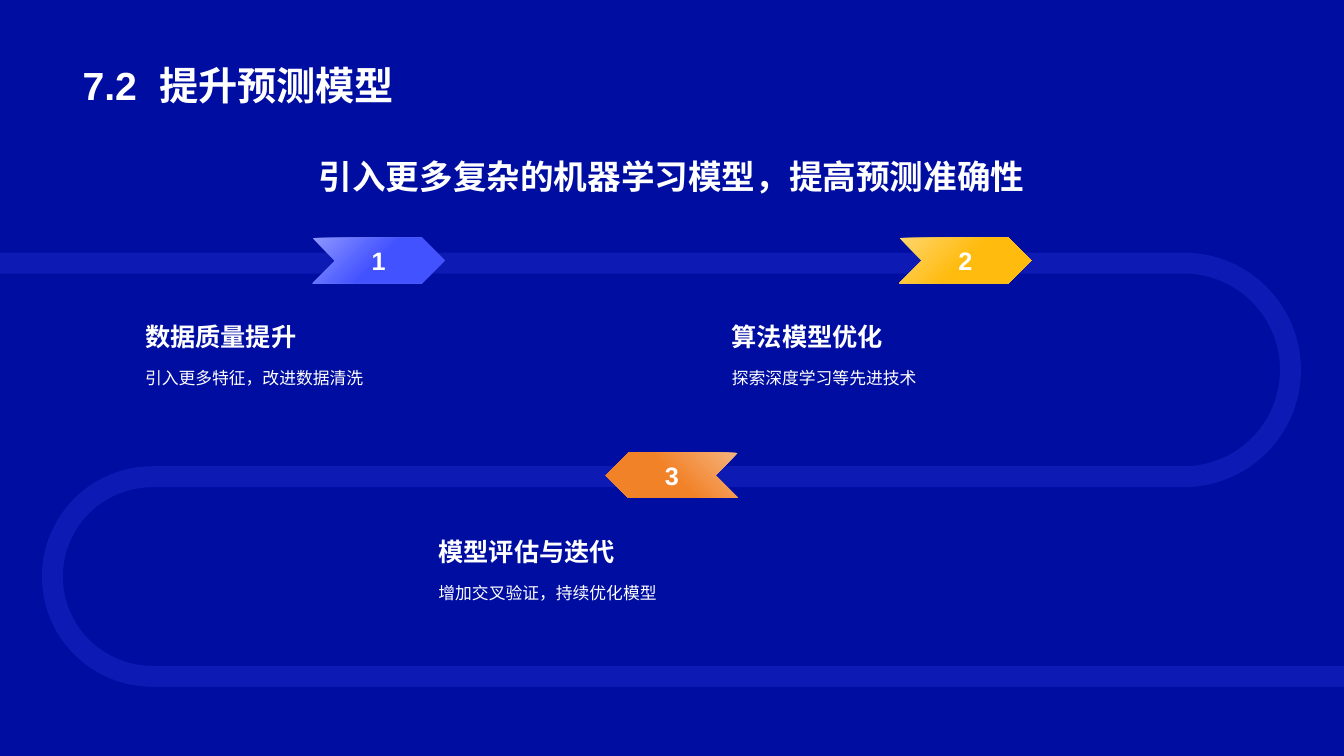
from dataclasses import dataclass
from math import cos, pi, sin

from lxml import etree
from pptx import Presentation
from pptx.dml.color import RGBColor
from pptx.enum.shapes import MSO_SHAPE
from pptx.enum.text import MSO_ANCHOR, PP_ALIGN
from pptx.oxml.ns import qn
from pptx.util import Inches, Pt

TITLE = ("7.2", "提升预测模型")
HEADLINE = "引入更多复杂的机器学习模型，提高预测准确性"
STEPS = [
    {"number": "1", "head": "数据质量提升", "body": "引入更多特征，改进数据清洗",
     "at": (3.1, 2.36), "colors": ("8E97FF", "4352FF"), "flip": False},
    {"number": "2", "head": "算法模型优化", "body": "探索深度学习等先进技术",
     "at": (8.92, 2.36), "colors": ("FFD66E", "FFBB0E"), "flip": False},
    {"number": "3", "head": "模型评估与迭代", "body": "增加交叉验证，持续优化模型",
     "at": (6.01, 4.49), "colors": ("F7B47E", "F18228"), "flip": True},
]
PAGE_SIZE = (13.33, 7.5)
ROAD_LEVELS = (2.61, 4.73, 6.71)
RIGHT_BEND_X, LEFT_BEND_X = 11.74, 1.51
ARC_STEPS = 48
CHEVRON_SIZE = (1.31, 0.45)
TEXT_SHIFT, HEAD_DROP, BODY_DROP = -1.76, 0.48, 1.2

CHEVRON = MSO_SHAPE.CHEVRON
TOP, MIDDLE, BOTTOM = MSO_ANCHOR.TOP, MSO_ANCHOR.MIDDLE, MSO_ANCHOR.BOTTOM
LEFT, CENTER = PP_ALIGN.LEFT, PP_ALIGN.CENTER


@dataclass
class Theme:
    font: str = "Arial"
    background: str = "000DA1"
    text: str = "FFFFFF"
    road: str = "4352FF"
    road_opacity: int = 20
    road_width: int = 15
    title: int = 28
    headline: int = 24
    head: int = 18
    body: int = 12
    title_gap: int = 8


theme = Theme()


def color(value):
    return RGBColor.from_string(value)


def style_spans(para, size, bold):
    for span in para.runs:
        span.font.name = theme.font
        span.font.size = Pt(size)
        span.font.bold = bold
        span.font.color.rgb = color(theme.text)


def add_text(page, text, place, size, bold=True, anchor=BOTTOM, align=LEFT):
    box = page.shapes.add_textbox(*map(Inches, place))
    frame = box.text_frame
    frame.word_wrap = True
    frame.vertical_anchor = anchor
    frame.text = text
    para = frame.paragraphs[0]
    para.alignment = align
    style_spans(para, size, bold)
    return para


def add_title(page):
    number, name = TITLE
    para = add_text(page, number, (0.72, 0.14, 11.88, 0.98), theme.title)
    gap = para.add_run()
    gap.text = " "
    para.add_run().text = name
    style_spans(para, theme.title, True)
    gap.font._element.set("spc", str(theme.title_gap * 100))


def bend(center_x, top, bottom, side):
    radius = (bottom - top) / 2
    angles = [pi * step / ARC_STEPS for step in range(ARC_STEPS + 1)]
    return [(center_x + side * radius * sin(angle), top + radius * (1 - cos(angle)))
            for angle in angles]


def add_road(page):
    first, second, third = ROAD_LEVELS
    points = (bend(RIGHT_BEND_X, first, second, 1)
              + bend(LEFT_BEND_X, second, third, -1)
              + [(PAGE_SIZE[0], third)])
    builder = page.shapes.build_freeform(0, Inches(first))
    builder.add_line_segments([(Inches(x), Inches(y)) for x, y in points], close=False)
    road = builder.convert_to_shape()
    road.shadow.inherit = False
    road.fill.background()
    road.line.width = Pt(theme.road_width)
    road.line.color.rgb = color(theme.road)
    tint = road.line._ln.find(".//" + qn("a:srgbClr"))
    etree.SubElement(tint, qn("a:alpha")).set("val", str(theme.road_opacity * 1000))


def add_chevron(page, step):
    chevron = page.shapes.add_shape(CHEVRON, *map(Inches, step["at"] + CHEVRON_SIZE))
    chevron.shadow.inherit = False
    chevron.line.fill.background()
    chevron.fill.gradient()
    chevron.fill.gradient_angle = 315
    for stop, value, position in zip(chevron.fill.gradient_stops, step["colors"], (0, 0.5)):
        stop.color.rgb = color(value)
        stop.position = position
    if step["flip"]:
        chevron._element.spPr.xfrm.set("flipH", "1")
    frame = chevron.text_frame
    frame.word_wrap = False
    frame.vertical_anchor = MIDDLE
    frame.margin_left = frame.margin_right = Inches(0.12)
    frame.margin_top = frame.margin_bottom = Inches(0.12)
    frame.text = step["number"]
    para = frame.paragraphs[0]
    para.alignment = CENTER
    style_spans(para, theme.head, True)


def add_step(page, step):
    add_chevron(page, step)
    left, top = step["at"]
    left += TEXT_SHIFT
    add_text(page, step["head"], (left, top + HEAD_DROP, 4.83, 0.7), theme.head)
    body = add_text(page, step["body"], (left, top + BODY_DROP, 4.83, 0.87),
                    theme.body, bold=False, anchor=TOP)
    body.line_spacing = 1.2


def main():
    deck = Presentation()
    deck.slide_width, deck.slide_height = map(Inches, PAGE_SIZE)
    page = deck.slides.add_slide(deck.slide_layouts[6])
    page.background.fill.solid()
    page.background.fill.fore_color.rgb = color(theme.background)
    add_title(page)
    add_road(page)
    add_text(page, HEADLINE, (0.72, 1.24, 11.88, 1.01), theme.headline,
             anchor=MIDDLE, align=CENTER)
    for step in STEPS:
        add_step(page, step)
    deck.save("out.pptx")


if __name__ == "__main__":
    main()
